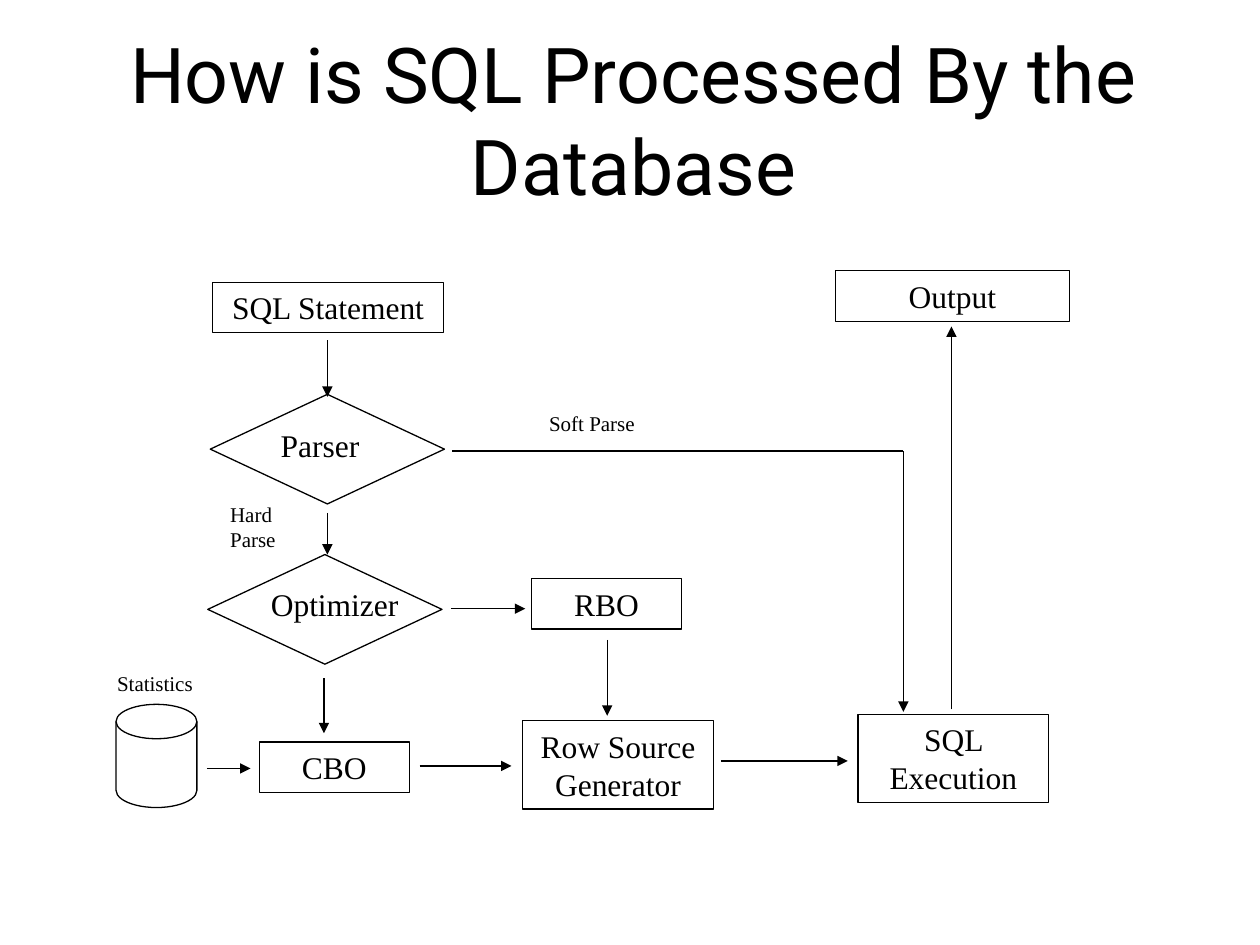
from typing import NamedTuple

from lxml import etree
from pptx import Presentation
from pptx import util as u
from pptx.dml.color import RGBColor
from pptx.enum import shapes, text
from pptx.oxml.ns import qn

INK = "000000"
BODY_FONT, TITLE_FONT = "Times New Roman", "Roboto"
STEP_SIZE, NOTE_SIZE, TITLE_SIZE = 18, 12, 44
LINE_WIDTH = u.Pt(0.75)
RECT = shapes.MSO_SHAPE.RECTANGLE
DECISION = shapes.MSO_SHAPE.FLOWCHART_DECISION
DISK = shapes.MSO_SHAPE.FLOWCHART_MAGNETIC_DISK
CENTER, LEFT = text.PP_ALIGN.CENTER, text.PP_ALIGN.LEFT


class Node(NamedTuple):
    """An outlined flow chart shape; lengths in cm."""
    left: float
    top: float
    width: float
    height: float
    caption: str = ""
    kind: shapes.MSO_SHAPE = RECT


class Label(NamedTuple):
    """Free text beside or over a shape; lengths in cm."""
    left: float
    top: float
    width: float
    height: float
    caption: str
    size: int = NOTE_SIZE


class Flow(NamedTuple):
    """A straight line between two points; lengths in cm."""
    x1: float
    y1: float
    x2: float
    y2: float
    arrow: bool = True


STEP_H, TALL_H = 1.02, 1.78
DECISION_W, DECISION_H = 4.72, 2.21

nodes = [
    Node(4.29, 5.69, 4.65, STEP_H, "SQL Statement"),
    Node(4.24, 7.95, DECISION_W, DECISION_H, kind=DECISION),
    Node(4.19, 11.18, DECISION_W, DECISION_H, kind=DECISION),
    Node(2.34, 14.2, 1.63, 2.08, kind=DISK),
    Node(5.23, 14.96, 3.02, STEP_H, "CBO"),
    Node(17.3, 14.4, 3.84, TALL_H, "SQL Execution"),
    Node(16.84, 5.46, 4.72, STEP_H, "Output"),
    Node(10.54, 14.53, 3.84, TALL_H, "Row Source Generator"),
    Node(10.72, 11.66, 3.02, STEP_H, "RBO"),
]

labels = [
    Label(5.41, 8.46, 3.38, STEP_H, "Parser", STEP_SIZE),
    Label(5.21, 11.66, 3.38, STEP_H, "Optimizer", STEP_SIZE),
    Label(4.39, 9.98, 1.98, 1.27, "Hard Parse"),
    Label(2.11, 13.39, 2.08, 0.76, "Statistics"),
    Label(10.82, 8.15, 2.31, 0.76, "Soft Parse"),
]

flows = [
    Flow(6.6, 6.86, 6.6, 8.0),             # statement to parser
    Flow(6.6, 10.34, 6.6, 11.18),          # parser to optimizer
    Flow(6.53, 13.67, 6.53, 14.78),        # optimizer to CBO
    Flow(9.09, 12.27, 10.59, 12.27),       # optimizer to RBO
    Flow(8.46, 15.44, 10.31, 15.44),       # CBO to generator
    Flow(14.53, 15.34, 17.09, 15.34),      # generator to execution
    Flow(12.24, 12.9, 12.24, 14.43),       # RBO to generator
    Flow(19.18, 14.3, 19.18, 6.58),        # execution to output
    Flow(9.12, 9.09, 18.21, 9.09, False),  # soft parse, across
    Flow(18.21, 9.09, 18.21, 14.35),       # soft parse, down
    Flow(4.17, 15.49, 5.05, 15.49),        # statistics to CBO
]


def color(value: str) -> RGBColor:
    return RGBColor.from_string(value)


def write(shape, caption: str, size: int, font: str = BODY_FONT,
          align=LEFT, anchor=text.MSO_ANCHOR.TOP) -> None:
    frame = shape.text_frame
    frame.text = caption
    frame.word_wrap = True
    frame.vertical_anchor = anchor
    paragraph = frame.paragraphs[0]
    paragraph.alignment = align
    for run in paragraph.runs:
        run.font.name = font
        run.font.size = u.Pt(size)
        run.font.color.rgb = color(INK)


def outline(shape) -> None:
    shape.line.color.rgb = color(INK)
    shape.line.width = LINE_WIDTH


def draw_node(slide, node: Node) -> None:
    shape = slide.shapes.add_shape(node.kind, *map(u.Cm, node[:4]))
    shape.shadow.inherit = False
    shape.fill.background()
    outline(shape)
    if node.caption:
        write(shape, node.caption, STEP_SIZE, align=CENTER)


def draw_label(slide, label: Label) -> None:
    box = slide.shapes.add_textbox(*map(u.Cm, label[:4]))
    write(box, label.caption, label.size)


def draw_flow(slide, flow: Flow) -> None:
    line = slide.shapes.add_connector(
        shapes.MSO_CONNECTOR.STRAIGHT, *map(u.Cm, flow[:4]))
    outline(line)
    if flow.arrow:
        etree.SubElement(line.line._get_or_add_ln(), qn("a:tailEnd"),
                         type="triangle")
    etree.SubElement(line._element.spPr, qn("a:effectLst"))


def main() -> None:
    deck = Presentation()
    deck.slide_width, deck.slide_height = u.Cm(25.4), u.Cm(19.05)
    slide = deck.slides.add_slide(deck.slide_layouts[6])

    # Title
    title = slide.shapes.add_textbox(*map(u.Cm, (1.98, 0.81, 21.59, 3.18)))
    write(title, "How is SQL Processed By the Database", TITLE_SIZE,
          TITLE_FONT, CENTER, text.MSO_ANCHOR.MIDDLE)

    # Flow chart
    for node in nodes:
        draw_node(slide, node)
    for label in labels:
        draw_label(slide, label)
    for flow in flows:
        draw_flow(slide, flow)

    deck.save("out.pptx")


if __name__ == "__main__":
    main()
